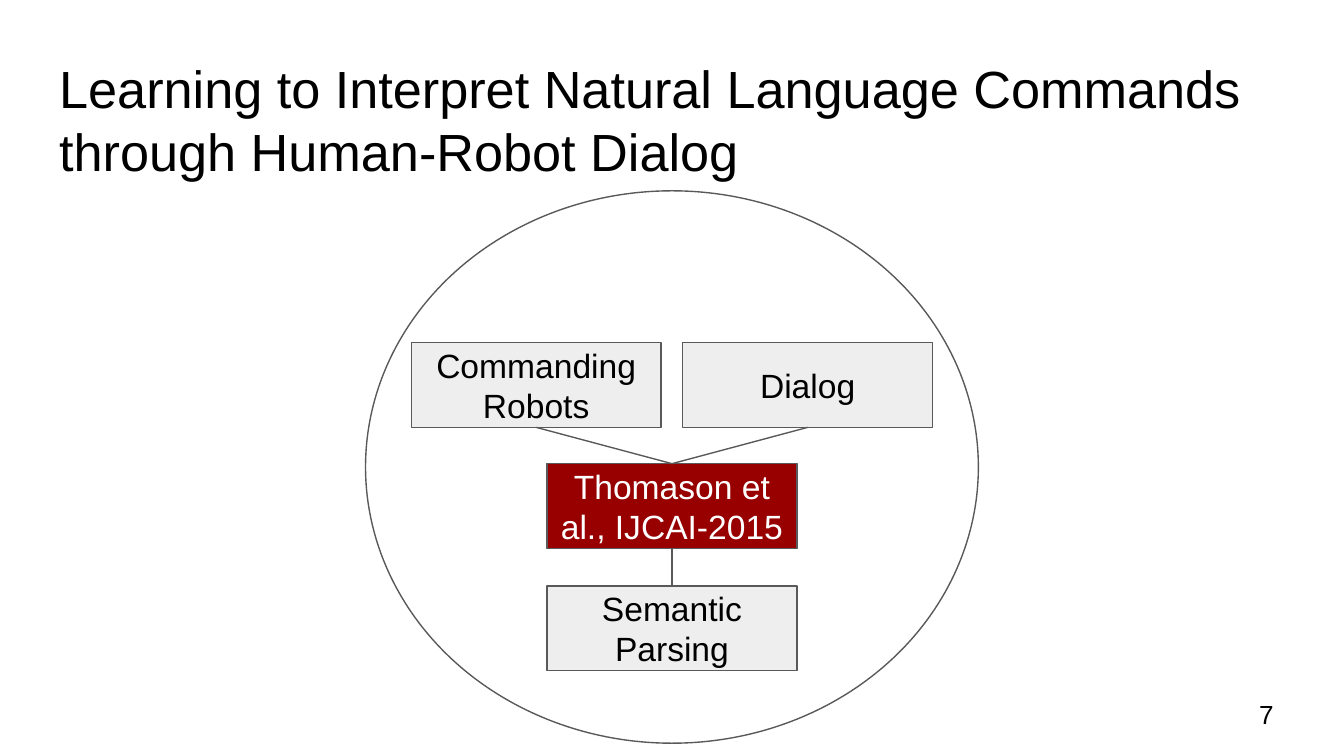
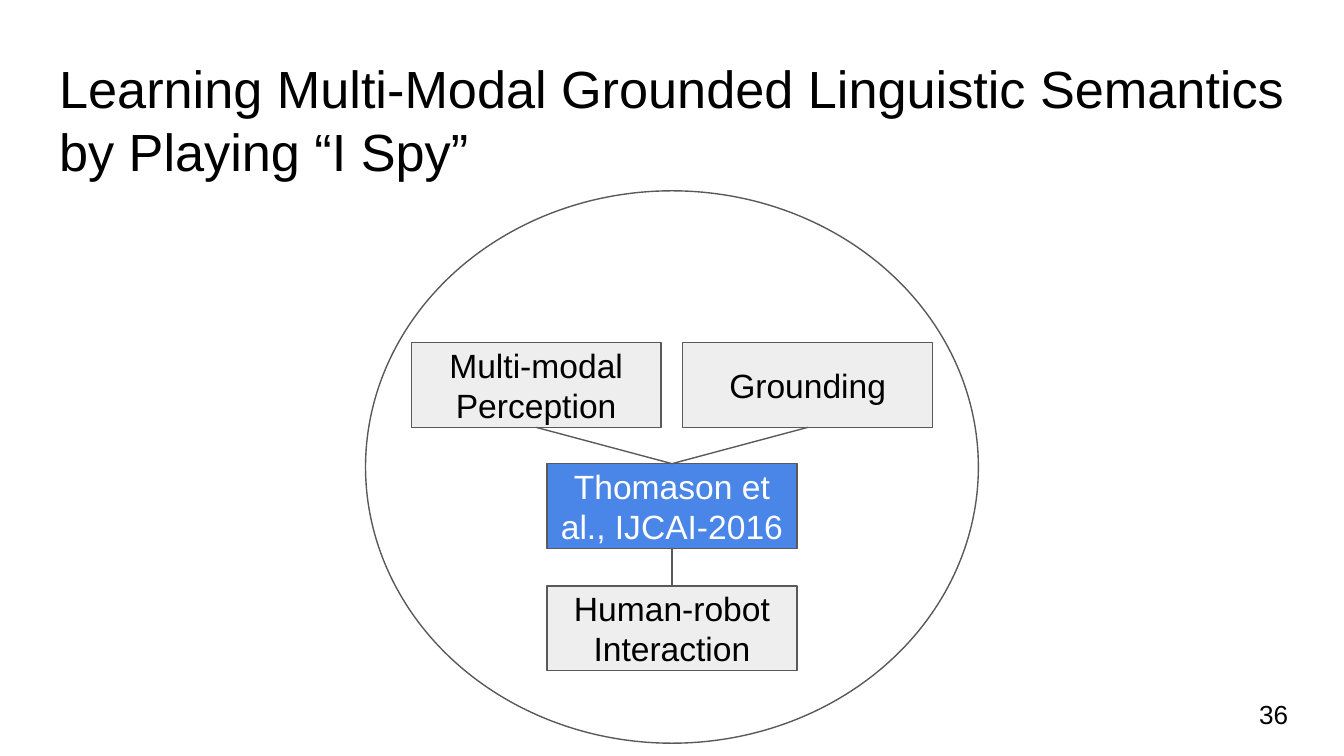
"""Build two slides that place a paper among the research areas it joins."""
from dataclasses import dataclass

from lxml import etree
from pptx import Presentation
from pptx.dml.color import RGBColor
from pptx.enum.shapes import MSO_CONNECTOR, MSO_SHAPE
from pptx.enum.text import MSO_ANCHOR, MSO_AUTO_SIZE, PP_ALIGN
from pptx.oxml.ns import qn
from pptx.util import Inches, Pt

ELLIPSE, RECTANGLE = MSO_SHAPE.OVAL, MSO_SHAPE.RECTANGLE
STRAIGHT = MSO_CONNECTOR.STRAIGHT
TOP, MIDDLE = MSO_ANCHOR.TOP, MSO_ANCHOR.MIDDLE
LEFT, CENTER = PP_ALIGN.LEFT, PP_ALIGN.CENTER
NO_AUTOFIT = MSO_AUTO_SIZE.NONE
TOP_SIDE, BOTTOM_SIDE = 0, 2


@dataclass(frozen=True)
class Theme:
    font: str = "Arial"
    ink: str = "000000"
    paper: str = "FFFFFF"
    line: str = "595959"
    area: str = "EEEEEE"
    red: str = "980000"
    blue: str = "4A86E8"
    title_size: int = 28
    label_size: int = 18
    number_size: int = 14
    line_width: float = 0.75


THEME = Theme()
BOX_WIDTH, BOX_HEIGHT = 1.86, 0.63
PLACES = {
    "bottom": (4.07, 4.36),
    "left": (3.06, 2.55),
    "right": (5.08, 2.55),
    "paper": (4.07, 3.45),
}
LINKS = [
    ("left", BOTTOM_SIDE, TOP_SIDE),
    ("right", BOTTOM_SIDE, TOP_SIDE),
    ("bottom", TOP_SIDE, BOTTOM_SIDE),
]
SLIDES = [
    {
        "title": "Learning to Interpret Natural Language Commands through Human-Robot Dialog",
        "number": "7",
        "accent": THEME.red,
        "labels": {
            "bottom": "Semantic Parsing",
            "left": "Commanding Robots",
            "right": "Dialog",
            "paper": "Thomason et al., IJCAI-2015",
        },
    },
    {
        "title": "Learning Multi-Modal Grounded Linguistic Semantics by Playing “I Spy”",
        "number": "36",
        "accent": THEME.blue,
        "labels": {
            "bottom": "Human-robot Interaction",
            "left": "Multi-modal Perception",
            "right": "Grounding",
            "paper": "Thomason et al., IJCAI-2016",
        },
    },
]


def write(box, text, size, color=THEME.ink, align=LEFT, anchor=MIDDLE):
    frame = box.text_frame
    frame.word_wrap = True
    frame.auto_size = NO_AUTOFIT
    frame.vertical_anchor = anchor
    frame.margin_left = frame.margin_right = Inches(0.1)
    frame.margin_top = frame.margin_bottom = Inches(0.1)
    para = frame.paragraphs[0]
    para.alignment = align
    span = para.add_run()
    span.text = text
    span.font.name = THEME.font
    span.font.size = Pt(size)
    span.font.color.rgb = RGBColor.from_string(color)


def outline(shape):
    shape.line.color.rgb = RGBColor.from_string(THEME.line)
    shape.line.width = Pt(THEME.line_width)


deck = Presentation()
deck.slide_width, deck.slide_height = Inches(10), Inches(10 * 9 / 16)
title_only = deck.slide_layouts[5]

for content in SLIDES:
    page = deck.slides.add_slide(title_only)
    page.background.fill.solid()
    page.background.fill.fore_color.rgb = RGBColor.from_string(THEME.paper)

    title = page.shapes.title
    title.left, title.top = Inches(0.34), Inches(0.32)
    title.width, title.height = Inches(9.32), Inches(0.63)
    write(title, content["title"], THEME.title_size, anchor=TOP)

    number = page.shapes.add_textbox(Inches(9.27), Inches(5.1), Inches(0.6), Inches(0.43))
    write(number, content["number"], THEME.number_size)

    diagram = page.shapes.add_group_shape().shapes
    circle = diagram.add_shape(ELLIPSE, Inches(2.72), Inches(1.42), Inches(4.56), Inches(4.11))
    circle.shadow.inherit = False
    circle.fill.background()
    outline(circle)

    boxes = {}
    for place, (left, top) in PLACES.items():
        box = diagram.add_shape(
            RECTANGLE, Inches(left), Inches(top), Inches(BOX_WIDTH), Inches(BOX_HEIGHT)
        )
        fill, ink = (content["accent"], THEME.paper) if place == "paper" else (THEME.area, THEME.ink)
        box.shadow.inherit = False
        box.fill.solid()
        box.fill.fore_color.rgb = RGBColor.from_string(fill)
        outline(box)
        write(box, content["labels"][place], THEME.label_size, ink, CENTER)
        boxes[place] = box

    for place, begin_side, end_side in LINKS:
        link = diagram.add_connector(STRAIGHT, 0, 0, 0, 0)
        link.begin_connect(boxes[place], begin_side)
        link.end_connect(boxes["paper"], end_side)
        outline(link)
        etree.SubElement(link._element.spPr, qn("a:effectLst"))

deck.save("out.pptx")
